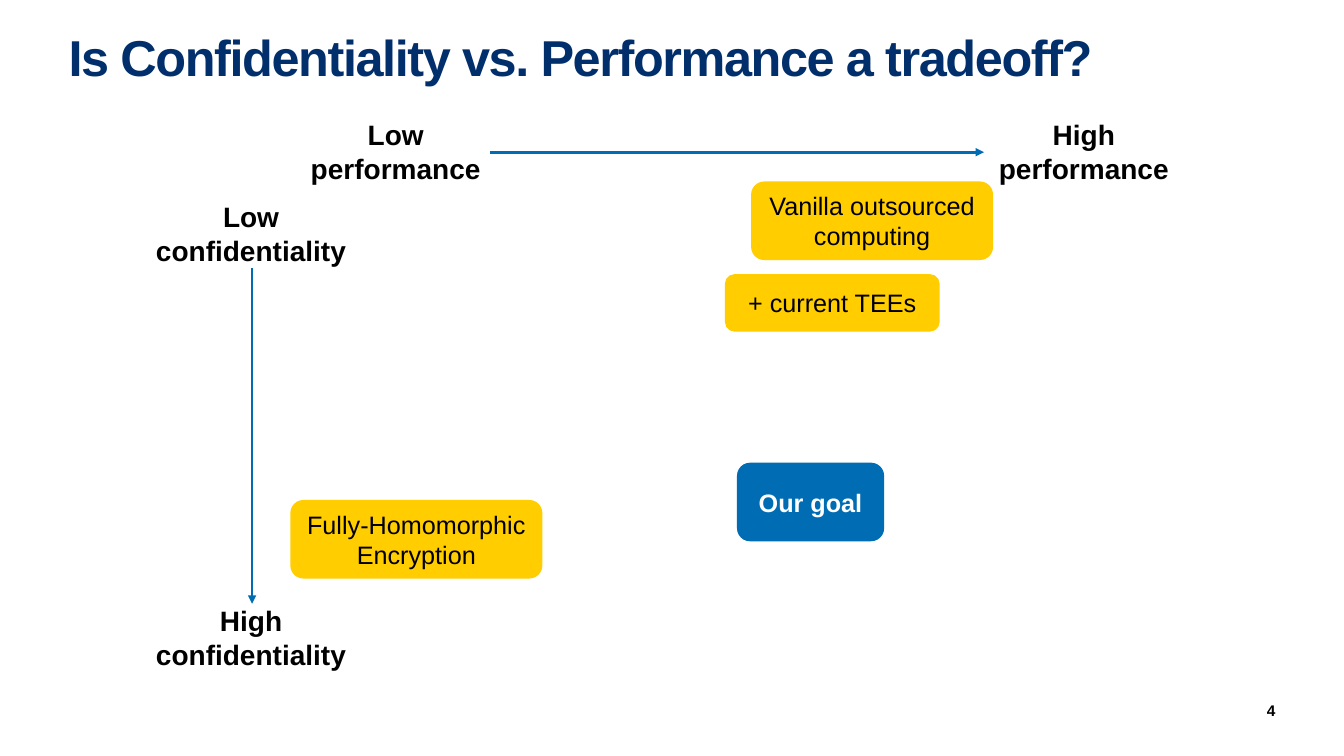
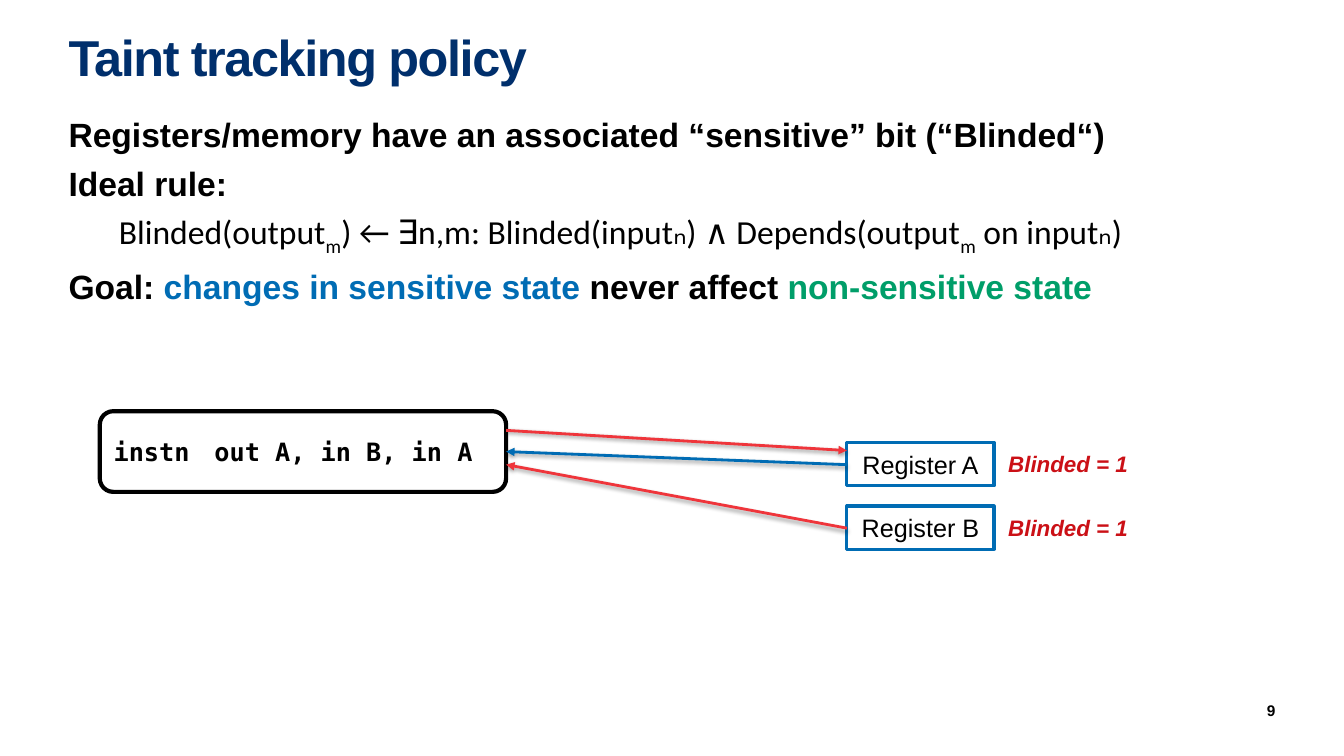
from lxml.etree import SubElement as Sub
from pptx import Presentation
from pptx.dml.color import RGBColor as Rgb
from pptx.enum.shapes import MSO_CONNECTOR as Link, MSO_SHAPE as Kind
from pptx.enum.text import MSO_ANCHOR as Anchor, PP_ALIGN as Align
from pptx.oxml.ns import qn
from pptx.util import Inches, Pt

NAVY, BLUE, GOLD, GREEN = "002F6C", "006CB4", "FFCD00", "009E69"
RED, CRIMSON, BLACK, WHITE = "EF353B", "CB1016", "000000", "FFFFFF"
FONT, MATH, CODE = "Arial", "Calibri", "DejaVu Sans Mono"
LEFT, WIDE = 0.68, 11.97


def tint(code):
    return Rgb.from_string(code)


class Deck:
    """Holds the shared style and the current slide."""

    def __init__(self):
        self.show = Presentation()
        self.show.slide_width, self.show.slide_height = Inches(13.33), Inches(7.5)

    def page(self, title, number):
        self.slide = self.show.slides.add_slide(self.show.slide_layouts[6])
        head = self.label(title, (LEFT, 0.35, WIDE, 1.31), size=36, color=NAVY, bold=True)
        line = head.paragraphs[0]
        line.line_spacing = 0.85
        line.runs[0]._r.get_or_add_rPr().set("spc", "-100")
        foot = self.label(number, (11.78, 6.96, 0.87, 0.17), Align.RIGHT, size=11, bold=True)
        foot.vertical_anchor = Anchor.MIDDLE

    def style(self, run, size=18, color=BLACK, font=FONT, bold=False, slant=False, sub=False):
        face = run.font
        face.size, face.name, face.bold, face.italic = Pt(size), font, bold, slant
        face.color.rgb = tint(color)
        if sub:
            run._r.get_or_add_rPr().set("baseline", "-25000")

    def put(self, frame, text, align, **look):
        frame.word_wrap = True
        frame.text = text
        for line in frame.paragraphs:
            line.alignment = align
            for run in line.runs:
                self.style(run, **look)

    def label(self, text, spot, align=Align.LEFT, **look):
        frame = self.slide.shapes.add_textbox(*map(Inches, spot)).text_frame
        frame.margin_left = frame.margin_right = frame.margin_top = frame.margin_bottom = 0
        self.put(frame, text, align, **look)
        return frame

    def body(self, lines, spot, size):
        frame = self.label("", spot)
        for index, (indent, parts) in enumerate(lines):
            line = frame.add_paragraph() if index else frame.paragraphs[0]
            line.space_before = Pt(6)
            line._p.get_or_add_pPr().set("marL", str(Inches(indent)))
            for text, look in parts:
                run = line.add_run()
                run.text = text
                self.style(run, size, **look)

    def box(self, text, spot, fill=WHITE, edge=None, weight=0, kind=Kind.ROUNDED_RECTANGLE,
            align=Align.CENTER, **look):
        shape = self.slide.shapes.add_shape(kind, *map(Inches, spot))
        shape.shadow.inherit = False
        shape.fill.solid()
        shape.fill.fore_color.rgb = tint(fill)
        if edge:
            shape.line.color.rgb = tint(edge)
            shape.line.width = Pt(weight)
        else:
            shape.line.fill.background()
        shape.text_frame.vertical_anchor = Anchor.MIDDLE
        self.put(shape.text_frame, text, align, **look)

    def arrow(self, start, end, color=BLUE, shade=False):
        line = self.slide.shapes.add_connector(Link.STRAIGHT, *map(Inches, start + end))
        line.line.color.rgb = tint(color)
        line.line.width = Pt(2)
        props = line.element.spPr
        Sub(props.find(qn("a:ln")), qn("a:tailEnd"), type="triangle")
        effect = Sub(props, qn("a:effectLst"))
        if shade:
            cast = Sub(effect, qn("a:outerShdw"), blurRad=str(Pt(3.1)), dist=str(Pt(1.6)),
                       dir="5400000", rotWithShape="0")
            Sub(Sub(cast, qn("a:srgbClr"), val=BLACK), qn("a:alpha"), val="38000")


def trade(deck):
    deck.page("Is Confidentiality vs. Performance a tradeoff?", "4")
    for text, left, top, width in (
        ("High\nperformance", 9.76, 1.17, 1.98),
        ("Low\nperformance", 2.99, 1.17, 1.87),
        ("Low confidentiality", 1.5, 1.98, 1.98),
        ("High confidentiality", 1.5, 5.99, 1.98),
    ):
        deck.label(text, (left, top, width, 0.67), Align.CENTER, size=20, bold=True)
    deck.arrow((2.5, 2.66), (2.5, 5.99))
    deck.arrow((4.86, 1.51), (9.76, 1.51))
    for text, spot in (
        ("+ current TEEs", (7.19, 2.72, 2.13, 0.57)),
        ("Vanilla outsourced computing", (7.45, 1.8, 2.4, 0.78)),
        ("Fully-Homomorphic Encryption", (2.88, 4.96, 2.5, 0.78)),
    ):
        deck.box(text, spot, GOLD)
    deck.box("Our goal", (7.31, 4.59, 1.46, 0.78), BLUE, color=WHITE, bold=True)


def taint(deck):
    deck.page("Taint tracking policy", "9")
    bold, math = {"bold": True}, {"font": MATH}
    low = {**math, "sub": True}
    deck.body((
        (0, [("Registers/memory have an associated “sensitive” bit (“Blinded“)", bold)]),
        (0, [("Ideal rule:", bold)]),
        (0.5, [("Blinded(output", math), ("m", low),
               (") ← ∃n,m: Blinded(inputₙ) ∧ Depends(output", math), ("m", low),
               (" on inputₙ)", math)]),
        (0, [("Goal: ", bold), ("changes in sensitive state", {**bold, "color": BLUE}),
             (" never affect ", bold), ("non-sensitive state", {**bold, "color": GREEN})]),
    ), (LEFT, 1.13, WIDE, 4.9), 24)
    deck.box("instn\tout A, in B, in A", (0.99, 4.08, 4.03, 0.8), edge=BLACK, weight=3,
             align=Align.LEFT, font=CODE, bold=True)
    for index, name in enumerate("AB"):
        top = 4.39 + index * 0.63
        deck.box(f"Register {name}", (8.4, top, 1.46, 0.43), edge=BLUE, weight=2.25,
                 kind=Kind.RECTANGLE)
        deck.label("Blinded = 1", (10, top + 0.08, 1.46, 0.27), size=16, color=CRIMSON,
                   bold=True, slant=True)
    for start, end, color in (
        ((8.4, 4.61), (5.02, 4.48), BLUE),
        ((8.4, 5.24), (5.02, 4.61), RED),
        ((5.02, 4.27), (8.4, 4.47), RED),
    ):
        deck.arrow(start, end, color, True)


def main():
    deck = Deck()
    trade(deck)
    taint(deck)
    deck.show.save("out.pptx")


if __name__ == "__main__":
    main()
